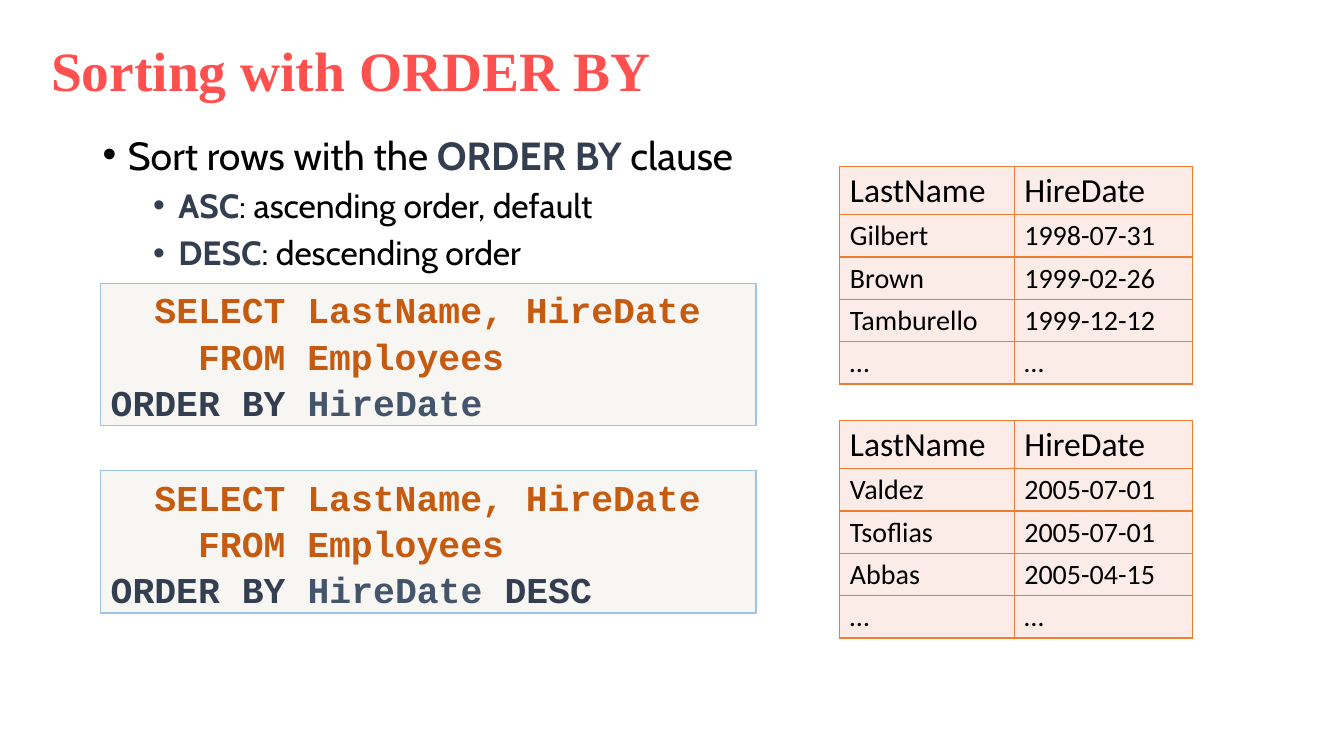
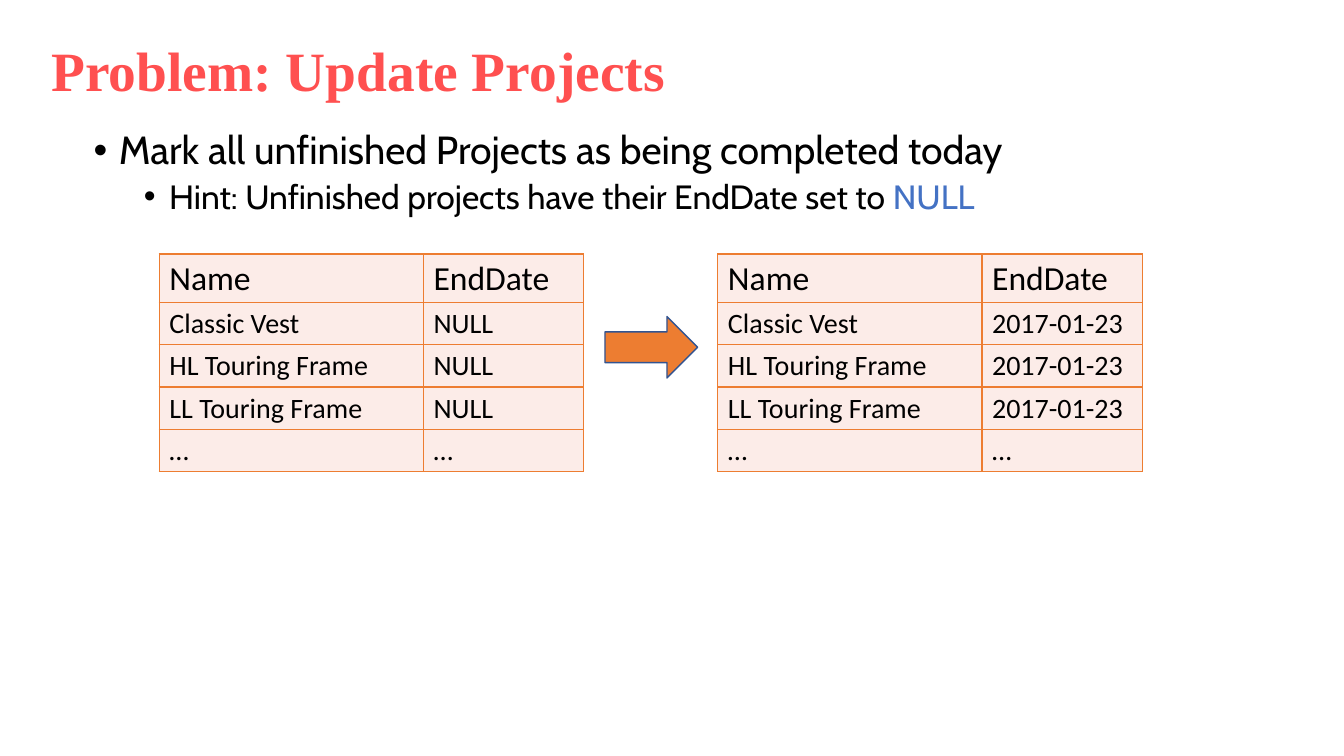
from lxml import etree
from pptx import Presentation
from pptx.dml.color import RGBColor
from pptx.enum.shapes import MSO_SHAPE
from pptx.enum.text import MSO_ANCHOR, PP_ALIGN
from pptx.oxml.ns import qn
from pptx.util import Inches, Pt

RECTANGLE = MSO_SHAPE.RECTANGLE
RIGHT_ARROW = MSO_SHAPE.RIGHT_ARROW
MIDDLE = MSO_ANCHOR.MIDDLE
LEFT = PP_ALIGN.LEFT

COLORS = {
    "title": "FF5050", "text": "000000", "keyword": "333F50", "null": "4472C4",
    "code": "C55A11", "column": "44546A", "code_fill": "D9D5C7",
    "code_line": "9DC3E6", "orange": "ED7D31", "cell": "FCECE8",
    "arrow_line": "325491",
}
TITLE_FONT, BODY_FONT = "Times New Roman", "Cabin"
CODE_FONT, TABLE_FONT = "Courier New", "Calibri"
CODE_SIZE = 26
CODE_CHARACTER = CODE_SIZE * 0.6 / 72  # width of one monospaced character, inches
BODY_STYLES = [  # by level: size, left margin, space before
    (28, 0.25, 10),
    (24, 0.75, 5),
]
HEADER_HEIGHT, ROW_HEIGHT = 0.48, 0.42

# Content: bullets are (level, runs), runs are (text, colour, bold)
SORT_BULLETS = [
    (0, [("Sort rows with the ", "text", False), ("ORDER BY ", "keyword", True),
         ("clause", "text", False)]),
    (1, [("ASC", "keyword", True), (": ascending order, default", "text", False)]),
    (1, [("DESC", "keyword", True), (": descending order", "text", False)]),
]
UPDATE_BULLETS = [
    (0, [("Mark all unfinished Projects as being completed today", "text", False)]),
    (1, [("Hint: Unfinished projects have their EndDate set to ", "text", False),
         ("NULL", "null", False)]),
]
# Query lines are (indent in characters, runs)
SORT_QUERY = [
    (2, [("SELECT LastName, HireDate", "code")]),
    (4, [("FROM Employees", "code")]),
    (0, [("ORDER BY ", "keyword"), ("HireDate", "column")]),
]
SORT_DESC_QUERY = SORT_QUERY[:2] + [
    (0, SORT_QUERY[2][1] + [(" DESC", "keyword")]),
]
HIRE_HEADER = ("LastName", "HireDate")
ELLIPSIS_ROW = ("…", "…")
FIRST_HIRED = [HIRE_HEADER, ("Gilbert", "1998-07-31"), ("Brown", "1999-02-26"),
               ("Tamburello", "1999-12-12"), ELLIPSIS_ROW]
LAST_HIRED = [HIRE_HEADER, ("Valdez", "2005-07-01"), ("Tsoflias", "2005-07-01"),
              ("Abbas", "2005-04-15"), ELLIPSIS_ROW]
PROJECTS = ["Classic Vest", "HL Touring Frame", "LL Touring Frame"]
END_DATES = ["NULL", "2017-01-23"]  # before and after the update


def color(name):
    return RGBColor.from_string(COLORS[name])


def add_run(paragraph, text, font, size, color_name, bold=False):
    run = paragraph.add_run()
    run.text = text
    run.font.name = font
    run.font.size = Pt(size)
    run.font.bold = bold
    run.font.color.rgb = color(color_name)


def next_paragraph(frame, index):
    return frame.add_paragraph() if index else frame.paragraphs[0]


def add_text_frame(slide, left, top, width, height):
    box = slide.shapes.add_textbox(
        Inches(left), Inches(top), Inches(width), Inches(height))
    box.text_frame.word_wrap = True
    return box.text_frame


def add_titled_slide(presentation, title):
    slide = presentation.slides.add_slide(presentation.slide_layouts[6])
    frame = add_text_frame(slide, 0.41, 0.42, 11.5, 0.65)
    frame.vertical_anchor = MIDDLE
    paragraph = frame.paragraphs[0]
    paragraph.line_spacing = 0.8
    add_run(paragraph, title, TITLE_FONT, 39.6, "title", True)
    return slide


def add_bullets(slide, left, bullets, line_spacing):
    frame = add_text_frame(slide, left, 1.25, 11.5, 4.76)
    for index, (level, runs) in enumerate(bullets):
        size, margin, space = BODY_STYLES[level]
        paragraph = next_paragraph(frame, index)
        paragraph.level = level
        paragraph.line_spacing = line_spacing
        paragraph.space_before = Pt(space)
        properties = paragraph._p.get_or_add_pPr()
        properties.set("marL", str(Inches(margin)))
        properties.set("indent", str(Inches(-0.25)))
        etree.SubElement(properties, qn("a:buFont"), typeface="Arial")
        etree.SubElement(properties, qn("a:buChar"), char="•")
        for text, color_name, bold in runs:
            add_run(paragraph, text, BODY_FONT, size, color_name, bold)


def add_filled_shape(slide, kind, box, fill, line):
    shape = slide.shapes.add_shape(kind, *map(Inches, box))
    shape.shadow.inherit = False
    shape.fill.solid()
    shape.fill.fore_color.rgb = color(fill)
    shape.line.color.rgb = color(line)
    shape.line.width = Pt(1)
    return shape


def add_query(slide, top, lines):
    shape = add_filled_shape(
        slide, RECTANGLE, (1, top, 6.5, 1.41), "code_fill", "code_line")
    fill_color = shape._element.spPr.find(qn("a:solidFill"))[0]
    etree.SubElement(fill_color, qn("a:alpha"), val="20000")
    frame = shape.text_frame
    frame.word_wrap = True
    frame.vertical_anchor = MIDDLE
    for index, (indent, runs) in enumerate(lines):
        paragraph = next_paragraph(frame, index)
        paragraph.alignment = LEFT
        paragraph.line_spacing = 1.06
        paragraph._p.get_or_add_pPr().set(
            "marL", str(Inches(indent * CODE_CHARACTER)))
        for text, color_name in runs:
            add_run(paragraph, text, CODE_FONT, CODE_SIZE, color_name, True)


def style_cell(cell):
    properties = cell._tc.get_or_add_tcPr()
    for side in ("a:lnL", "a:lnR", "a:lnT", "a:lnB"):
        border = etree.SubElement(properties, qn(side), w=str(Pt(1)))
        fill = etree.SubElement(border, qn("a:solidFill"))
        etree.SubElement(fill, qn("a:srgbClr"), val=COLORS["orange"])
    cell.fill.solid()
    cell.fill.fore_color.rgb = color("cell")
    cell.vertical_anchor = MIDDLE


def add_data_table(slide, left, top, widths, rows):
    heights = [HEADER_HEIGHT] + [ROW_HEIGHT] * (len(rows) - 1)
    table = slide.shapes.add_table(
        len(rows), len(widths), Inches(left), Inches(top),
        Inches(sum(widths)), Inches(sum(heights))).table
    table.first_row = table.horz_banding = False
    for column, width in zip(table.columns, widths):
        column.width = Inches(width)
    for row_index, (values, height) in enumerate(zip(rows, heights)):
        table.rows[row_index].height = Inches(height)
        for column_index, value in enumerate(values):
            cell = table.cell(row_index, column_index)
            style_cell(cell)
            paragraph = cell.text_frame.paragraphs[0]
            paragraph.line_spacing = 0.95
            add_run(paragraph, value, TABLE_FONT, 20 if row_index else 24, "text")


def build_sorting_slide(presentation):
    slide = add_titled_slide(presentation, "Sorting with ORDER BY")
    add_bullets(slide, 0.92, SORT_BULLETS, 1.0)
    for query_top, query, table_top, rows in (
            (2.81, SORT_QUERY, 1.65, FIRST_HIRED),
            (4.67, SORT_DESC_QUERY, 4.17, LAST_HIRED)):
        add_query(slide, query_top, query)
        add_data_table(slide, 8.33, table_top, (1.73, 1.77), rows)


def build_update_slide(presentation):
    slide = add_titled_slide(presentation, "Problem: Update Projects")
    add_bullets(slide, 0.83, UPDATE_BULLETS, 0.9)
    for left, end_date in zip((1.58, 7.12), END_DATES):
        rows = [("Name", "EndDate")]
        rows += [(project, end_date) for project in PROJECTS]
        add_data_table(slide, left, 2.52, (2.62, 1.59), rows + [ELLIPSIS_ROW])
    add_filled_shape(
        slide, RIGHT_ARROW, (6, 3.14, 0.92, 0.61), "orange", "arrow_line")


def main():
    presentation = Presentation()
    presentation.slide_width = Inches(13.33)
    presentation.slide_height = Inches(7.5)
    build_sorting_slide(presentation)
    build_update_slide(presentation)
    presentation.save("out.pptx")


if __name__ == "__main__":
    main()
